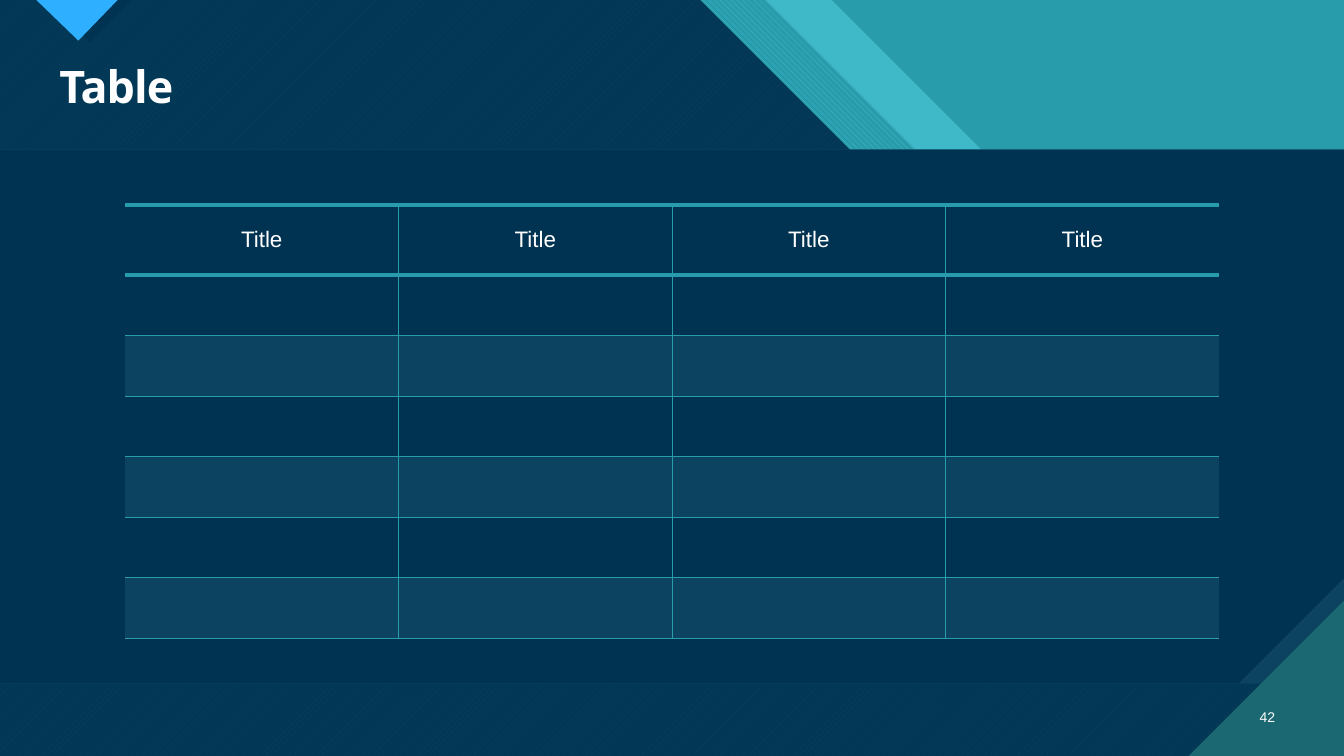
from lxml import etree
from pptx import Presentation
from pptx.dml.color import RGBColor
from pptx.enum.dml import MSO_PATTERN
from pptx.enum.shapes import MSO_SHAPE
from pptx.enum.text import MSO_ANCHOR, PP_ALIGN
from pptx.oxml.ns import qn
from pptx.util import Pt

TEAL = RGBColor(0x29, 0x9C, 0xAB)
AQUA = RGBColor(0x47, 0xC3, 0xD3)
DEEP_TEAL = RGBColor(0x1B, 0x68, 0x72)
NAVY = RGBColor(0x00, 0x33, 0x52)
SLATE = RGBColor(0x0C, 0x43, 0x60)
BLUE = RGBColor(0x2F, 0xAF, 0xFF)
WHITE = RGBColor(0xFF, 0xFF, 0xFF)
UP = MSO_PATTERN.WIDE_UPWARD_DIAGONAL
DOWN = MSO_PATTERN.WIDE_DOWNWARD_DIAGONAL
LEFT, CENTER, RIGHT = PP_ALIGN.LEFT, PP_ALIGN.CENTER, PP_ALIGN.RIGHT
TOP, MIDDLE = MSO_ANCHOR.TOP, MSO_ANCHOR.MIDDLE
NO_STYLE = "{2D5ABB26-0587-4C30-8999-92F81FD0307C}"
W, H = 960, 540


def paint(sp, color, alpha=None, pattern=None, back=None):
    """Fill a shape, solid or patterned, and drop its line and shadow."""
    sp.shadow.inherit = False
    sp.line.fill.background()
    if pattern is not None:
        sp.fill.patterned()
        sp.fill.pattern = pattern
        sp.fill.fore_color.rgb = color
        sp.fill.back_color.rgb = back
        return
    sp.fill.solid()
    sp.fill.fore_color.rgb = color
    if alpha is not None:
        clr = sp._element.spPr.find(qn("a:solidFill"))[0]
        etree.SubElement(clr, qn("a:alpha"), val=str(alpha * 1000))


def write(tf, text, size, font="Arial", bold=False, align=LEFT, spacing=None, track=None):
    """Put one formatted white run into a text frame."""
    p = tf.paragraphs[0]
    p.alignment = align
    if spacing is not None:
        p.line_spacing = spacing
    r = p.add_run()
    r.text = text
    r.font.size, r.font.name, r.font.bold = Pt(size), font, bold
    r.font.color.rgb = WHITE
    if track is not None:
        r._r.get_or_add_rPr().set("spc", str(track))


prs = Presentation()
prs.slide_width, prs.slide_height = Pt(W), Pt(H)
s = prs.slides.add_slide(prs.slide_layouts[6])
s.background.fill.solid()
s.background.fill.fore_color.rgb = TEAL

# Header bands: each has a 45-degree right edge starting at edge, and a lower shoulder
outlines = []
for edge, shoulder in ((594, 889), (547, 852), (500, 805)):
    outlines.append([(0, 0), (edge, 0), (edge + 214, 214), (shoulder, 214),
                     (W, 214 + W - shoulder), (W, H), (0, H)])
light_band, striped_band, dark_band = outlines
accent_shadow = [(34.5, 0), (94.5, 0), (64.5, 30)]
accent = [(26.5, 0), (84.5, 0), (55.5, 29)]
corner = [(849, H), (W, H), (W, 429)]

# Content panel with its lower right corner cut off
panel_top, panel_bottom, snip = 106.6, 488.4, 75
panel_back = [(0, panel_top), (W, panel_top), (W, panel_bottom), (0, panel_bottom)]
panel = [(0, panel_top), (W, panel_top), (W, panel_bottom - snip),
         (W - snip, panel_bottom), (0, panel_bottom)]

for points, look in (
    (light_band, dict(color=AQUA, alpha=74)),
    (striped_band, dict(color=AQUA, pattern=DOWN, back=TEAL)),
    (dark_band, dict(color=AQUA, pattern=UP, back=DEEP_TEAL)),
    (dark_band, dict(color=NAVY, alpha=90)),
    (accent_shadow, dict(color=NAVY)),
    (accent, dict(color=BLUE)),
    (panel_back, dict(color=SLATE)),
    (panel, dict(color=NAVY)),
    (corner, dict(color=DEEP_TEAL)),
):
    if points is panel_back:
        sp = s.shapes.add_shape(MSO_SHAPE.RECTANGLE, 0, Pt(panel_top),
                                Pt(W), Pt(panel_bottom - panel_top))
    else:
        builder = s.shapes.build_freeform(*points[0], scale=Pt(1))
        builder.add_line_segments(points[1:], close=True)
        sp = builder.convert_to_shape()
    paint(sp, **look)

# Title and slide number
for box, anchor, text, look in (
    ((35.3, 42.5, 883, 42.5), TOP, "Table",
     dict(size=32, font="Open Sans", bold=True, spacing=0.9, track=-70)),
    ((886.3, 497.5, 31.7, 28.8), MIDDLE, "42", dict(size=10, align=RIGHT)),
):
    tf = s.shapes.add_textbox(*map(Pt, box)).text_frame
    tf.word_wrap = True
    tf.vertical_anchor = anchor
    write(tf, text, **look)

# Table
titles = ["Title"] * 4
row_heights = [50.4] + [43.2] * 6
col_width = 195.4
n_rows, n_cols = len(row_heights), len(titles)
table = s.shapes.add_table(n_rows, n_cols, Pt(89.3), Pt(146.2),
                           Pt(col_width * n_cols), Pt(sum(row_heights))).table
table._tbl.tblPr.find(qn("a:tableStyleId")).text = NO_STYLE
table.first_row = table.horz_banding = False
for col in table.columns:
    col.width = Pt(col_width)
for row, height in zip(table.rows, row_heights):
    row.height = Pt(height)

for i in range(n_rows):
    for j in range(n_cols):
        cell = table.cell(i, j)
        cell.vertical_anchor = MIDDLE
        borders = {
            "L": 1 if j > 0 else 0,
            "R": 1 if j < n_cols - 1 else 0,
            "T": 3 if i < 2 else 1,
            "B": 3 if i == 0 else 1,
        }
        tcPr = cell._tc.get_or_add_tcPr()
        for side, width in borders.items():
            if width:
                ln = etree.SubElement(tcPr, qn("a:ln" + side), w=str(Pt(width)))
                fill = etree.SubElement(ln, qn("a:solidFill"))
                etree.SubElement(fill, qn("a:srgbClr"), val=str(TEAL))
        if i > 0 and i % 2 == 0:
            cell.fill.solid()
            cell.fill.fore_color.rgb = SLATE
        else:
            cell.fill.background()
        if i == 0:
            write(cell.text_frame, titles[j], size=16, align=CENTER)

prs.save("out.pptx")
